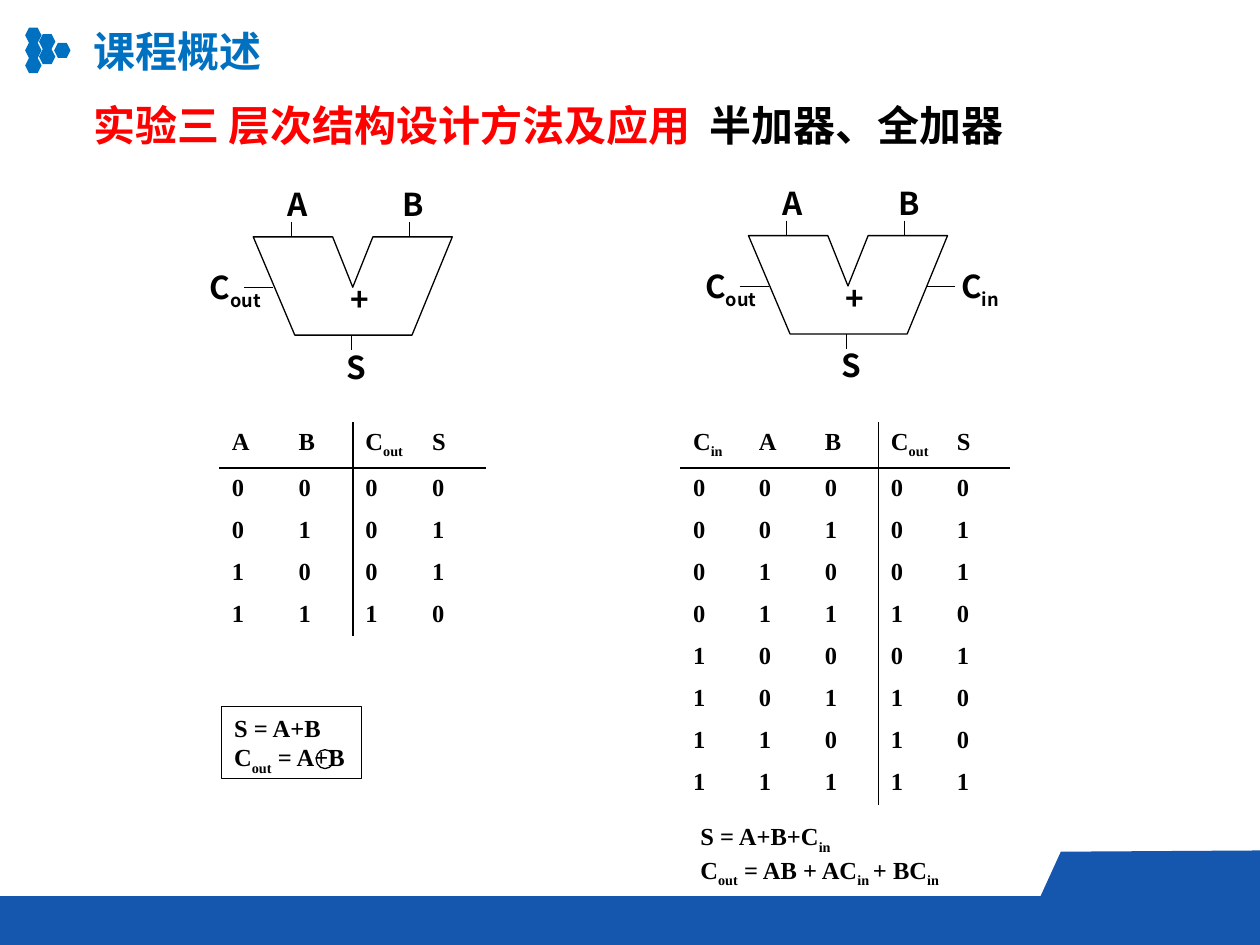
from itertools import product

from lxml import etree
from pptx import Presentation
from pptx import util as u
from pptx.dml.color import RGBColor
from pptx.enum import shapes as kinds, text as txt
from pptx.oxml import ns

BLACK = RGBColor(0x00, 0x00, 0x00)
WHITE = RGBColor(0xFF, 0xFF, 0xFF)
RED = RGBColor(0xFF, 0x00, 0x00)
SKY = RGBColor(0x00, 0x70, 0xC0)
NAVY = RGBColor(0x15, 0x57, 0xAE)

SANS = "Noto Sans CJK SC"
SERIF = "Times New Roman"
PLAIN_TABLE = "{2D5ABB26-0587-4C30-8999-92F81FD0307C}"
WIDTH, HEIGHT = 10, 7.5
FOOTER_TOP = 7.11


def inches(*lengths):
    return [u.Inches(length) for length in lengths]


def write(paragraph, content, size=18, color=BLACK, font=SANS, align=txt.PP_ALIGN.LEFT):
    """Add bold runs to a paragraph; parts in braces become subscripts."""
    paragraph.alignment = align
    for index, part in enumerate(content.replace("}", "{").split("{")):
        if not part:
            continue
        run = paragraph.add_run()
        run.text = part
        run.font.size, run.font.bold = u.Pt(size), True
        run.font.color.rgb = color
        run.font.name = font
        properties = run.font._element
        etree.SubElement(properties, ns.qn("a:ea"), typeface=font)
        if index % 2:
            properties.set("baseline", "-25000")


def paint(shape, fill=None, line=None, weight=0.75):
    shape.shadow.inherit = False
    if fill is None:
        shape.fill.background()
    else:
        shape.fill.solid()
        shape.fill.fore_color.rgb = fill
    if line is None:
        shape.line.fill.background()
    else:
        shape.line.color.rgb = line
        shape.line.width = u.Pt(weight)


def figure(shapes, preset, box, **look):
    shape = shapes.add_shape(preset, *inches(*box))
    paint(shape, **look)
    return shape


def outline(shapes, points, **look):
    corners = [inches(*point) for point in points]
    builder = shapes.build_freeform(*corners[0])
    builder.add_line_segments(corners[1:], close=True)
    paint(builder.convert_to_shape(), **look)


def wire(shapes, start, end):
    line = shapes.add_connector(kinds.MSO_CONNECTOR.STRAIGHT, *inches(*start, *end))
    line.line.color.rgb = BLACK
    line.line.width = u.Pt(0.5)
    etree.SubElement(line._element.spPr, ns.qn("a:effectLst"))


def prepare(shape, wrap=True, anchor=txt.MSO_ANCHOR.TOP, grow=False):
    frame = shape.text_frame
    frame.word_wrap = wrap
    frame.vertical_anchor = anchor
    if grow:
        frame.auto_size = txt.MSO_AUTO_SIZE.SHAPE_TO_FIT_TEXT
    return frame


def text_box(shapes, box, **layout):
    return prepare(shapes.add_textbox(*inches(*box)), **layout)


def adder(slide, left, top, carry_in=False):
    parts = slide.shapes.add_group_shape().shapes

    def at(x, y):
        return left + x, top + y

    body = [(0, 0), (0.63, 0), (0.79, 0.4), (0.95, 0), (1.58, 0), (1.26, 0.78), (0.33, 0.78)]
    outline(parts, [at(*point) for point in body], fill=WHITE, line=BLACK)

    pins = [("S", 0.64, 0.88), ("B", 1.09, -0.41), ("A", 0.17, -0.41)]
    notes = [("+", 0.7, 0.4, 0.17, 0.19), ("C{out}", -0.46, 0.25, 0.64, 0.34)]
    wires = [((-0.07, 0.4), (0.16, 0.4)), ((0.78, 0.78), (0.78, 0.9)),
             ((0.3, -0.12), (0.3, 0)), ((1.24, -0.12), (1.24, 0))]
    if carry_in:
        notes.append(("C{in}", 1.52, 0.25, 0.64, 0.34))
        wires.append(((1.41, 0.4), (1.64, 0.4)))

    labels = [(name, figure(parts, kinds.MSO_SHAPE.RECTANGLE, (*at(x, y), 0.3, 0.3),
                            fill=WHITE, line=WHITE)) for name, x, y in pins]
    labels += [(name, parts.add_textbox(*inches(*at(x, y), w, h))) for name, x, y, w, h in notes]
    for name, label in labels:
        frame = prepare(label, anchor=txt.MSO_ANCHOR.MIDDLE)
        write(frame.paragraphs[0], name, align=txt.PP_ALIGN.CENTER)
    for start, end in wires:
        wire(parts, at(*start), at(*end))


def border(cell, ruled_sides):
    properties = cell._tc.get_or_add_tcPr()
    for index, side in enumerate("LRTB"):
        edge = etree.Element(ns.qn(f"a:ln{side}"), w=str(u.Pt(1)))
        if side in ruled_sides:
            solid = etree.SubElement(edge, ns.qn("a:solidFill"))
            etree.SubElement(solid, ns.qn("a:srgbClr"), val=str(BLACK))
        else:
            etree.SubElement(edge, ns.qn("a:noFill"))
        properties.insert(index, edge)


def truth_table(slide, left, top, width, inputs):
    rows = [inputs + ["C{out}", "S"]]
    for bits in product((0, 1), repeat=len(inputs)):
        rows.append([str(bit) for bit in (*bits, sum(bits) // 2, sum(bits) % 2)])
    columns = len(rows[0])
    holder = slide.shapes.add_table(len(rows), columns,
                                    *inches(left, top, width, 0.33 * len(rows)))
    table = holder.table
    table.first_row = table.horz_banding = False
    table._tbl.tblPr.find(ns.qn("a:tableStyleId")).text = PLAIN_TABLE
    for column in table.columns:
        column.width = u.Inches(width / columns)
    for r, row in enumerate(rows):
        table.rows[r].height = u.Inches(0.33 if r else 0.36)
        for c, value in enumerate(row):
            cell = table.cell(r, c)
            cell.fill.background()
            write(cell.text_frame.paragraphs[0], value, size=14, font=SERIF)
            sides = {len(inputs): "L", len(inputs) - 1: "R"}.get(c, "")
            border(cell, sides + {0: "B", 1: "T"}.get(r, ""))


def formulas(frame, first, second):
    write(frame.paragraphs[0], first, size=14, font=SERIF)
    write(frame.add_paragraph(), second, size=14, font=SERIF)


def decoration(slide):
    for x, top, count in ((0.2, 0.22, 3), (0.31, 0.27, 2), (0.43, 0.34, 1)):
        for row in range(count):
            figure(slide.shapes, kinds.MSO_SHAPE.HEXAGON,
                   (x, top + 0.12 * row, 0.13, 0.12), fill=SKY)
    figure(slide.shapes, kinds.MSO_SHAPE.FLOWCHART_PROCESS,
           (0, FOOTER_TOP, WIDTH, HEIGHT - FOOTER_TOP), fill=NAVY)
    outline(slide.shapes, [(WIDTH, FOOTER_TOP), (WIDTH, 6.75), (8.42, 6.76), (8.26, FOOTER_TOP)],
            fill=NAVY)


def main():
    deck = Presentation()
    deck.slide_width, deck.slide_height = inches(WIDTH, HEIGHT)
    slide = deck.slides.add_slide(deck.slide_layouts[6])
    decoration(slide)

    course = text_box(slide.shapes, (0.64, 0.15, 1.55, 0.5), wrap=False, grow=True)
    write(course.paragraphs[0], "课程概述", size=24, color=SKY)
    heading = text_box(slide.shapes, (0.64, 0.74, 8.98, 0.5), grow=True).paragraphs[0]
    write(heading, "实验三 层次结构设计方法及应用  ", size=24, color=RED)
    write(heading, "半加器、全加器", size=24)

    adder(slide, 2.01, 1.88)
    adder(slide, 5.94, 1.87, carry_in=True)
    truth_table(slide, 1.74, 3.35, 2.12, ["A", "B"])
    truth_table(slide, 5.4, 3.35, 2.62, ["C{in}", "A", "B"])

    half_sum = figure(slide.shapes, kinds.MSO_SHAPE.RECTANGLE, (1.76, 5.61, 1.11, 0.57), line=BLACK)
    formulas(prepare(half_sum, wrap=False, grow=True), "S = A+B", "C{out} = A+B")
    full_sum = text_box(slide.shapes, (5.46, 6.47, 2.49, 0.57), grow=True)
    formulas(full_sum, "S = A+B+C{in}", "C{out} = AB + AC{in }+ BC{in}")
    figure(slide.shapes, kinds.MSO_SHAPE.OVAL, (2.51, 5.95, 0.14, 0.15), line=BLACK)

    deck.save("out.pptx")


if __name__ == "__main__":
    main()
